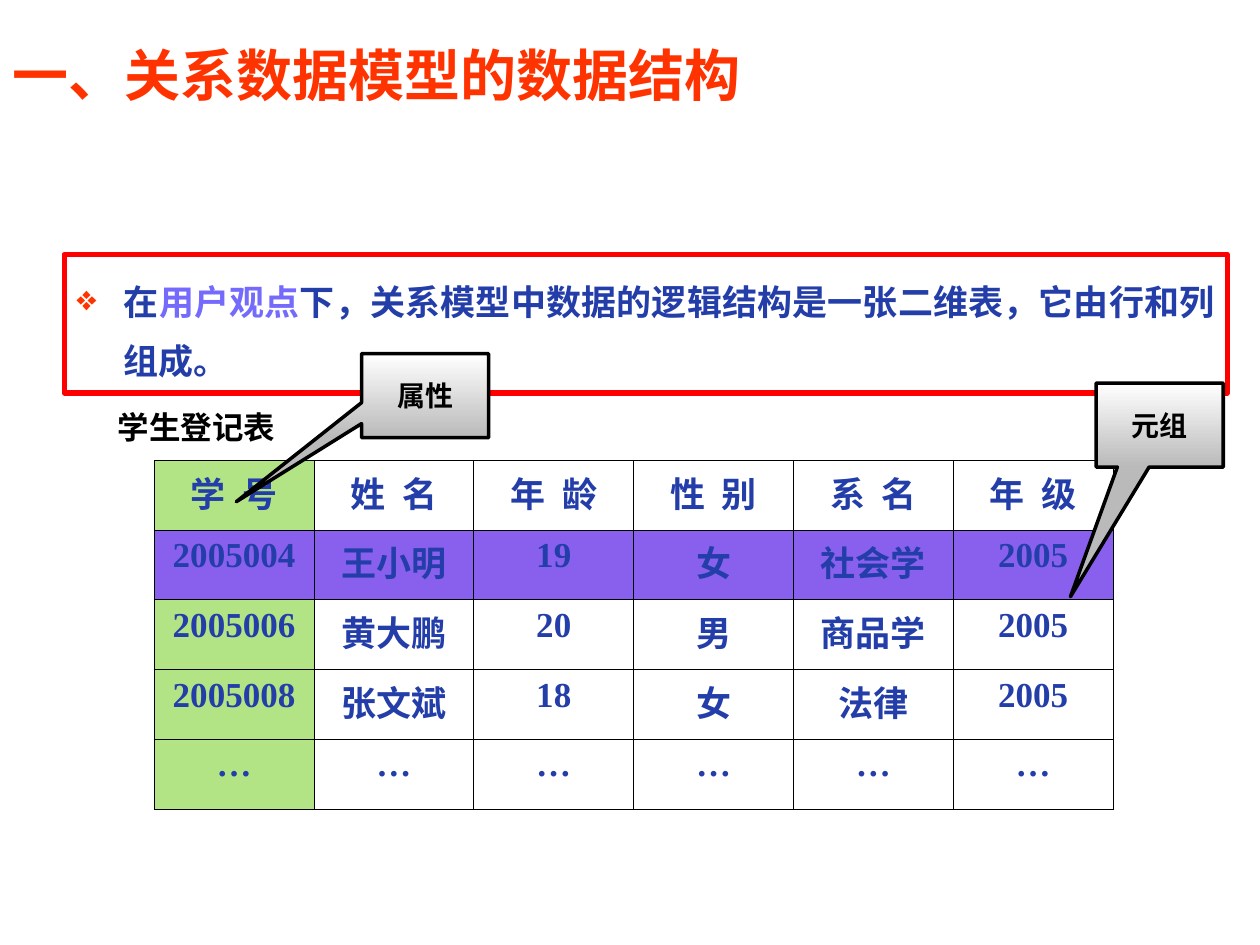
from dataclasses import dataclass

from lxml import etree
from pptx import Presentation
from pptx.dml.color import RGBColor
from pptx.enum.shapes import MSO_SHAPE
from pptx.enum.text import MSO_ANCHOR, PP_ALIGN
from pptx.oxml.ns import qn
from pptx.slide import Slide
from pptx.table import _Cell
from pptx.text.text import TextFrame, _Paragraph
from pptx.util import Pt

RECTANGLE = MSO_SHAPE.RECTANGLE
CALLOUT = MSO_SHAPE.RECTANGULAR_CALLOUT
TOP, MIDDLE = MSO_ANCHOR.TOP, MSO_ANCHOR.MIDDLE
LEFT, CENTER, JUSTIFY = PP_ALIGN.LEFT, PP_ALIGN.CENTER, PP_ALIGN.JUSTIFY


@dataclass(frozen=True)
class Theme:
    title: str = "FF3300"
    body: str = "233DA9"
    emphasis: str = "746AFC"
    black: str = "000000"
    frame: str = "FF0000"
    attribute: str = "B2E385"
    tuple_row: str = "8960EE"
    callout_top: str = "FFFFFF"
    callout_bottom: str = "BABABA"
    chinese: str = "Noto Sans CJK SC"
    sans: str = "Arial"
    serif: str = "Times New Roman"
    title_size: float = 32
    body_size: float = 20
    caption_size: float = 18
    callout_size: float = 16


THEME = Theme()


@dataclass(frozen=True)
class Box:
    left: float
    top: float
    width: float
    height: float

    def lengths(self) -> tuple[Pt, Pt, Pt, Pt]:
        return Pt(self.left), Pt(self.top), Pt(self.width), Pt(self.height)


@dataclass(frozen=True)
class Callout:
    text: str
    box: Box
    tip: tuple[float, float]


TITLE_BOX = Box(0, 20.2, 581.8, 44.6)
STATEMENT_BOX = Box(36.7, 145.4, 664.6, 79.2)
CAPTION_BOX = Box(33.1, 229.7, 158.4, 28.8)
TABLE_BOX = Box(88.1, 262.9, 548.1, 199.5)

STATEMENT = (
    ("在", THEME.body),
    ("用户观点", THEME.emphasis),
    ("下，关系模型中数据的逻辑结构是一张二维表，它由行和列组成。", THEME.body),
)
STUDENTS = (
    ("学 号", "姓 名", "年 龄", "性 别", "系 名", "年 级"),
    ("2005004", "王小明", "19", "女", "社会学", "2005"),
    ("2005006", "黄大鹏", "20", "男", "商品学", "2005"),
    ("2005008", "张文斌", "18", "女", "法律", "2005"),
    ("…",) * 6,
)
TUPLE_ROW = 1
HEADER_TRACKING = 2.5
CALLOUTS = (
    Callout("属性", Box(206.6, 202.1, 72.6, 48), (-1.486, 1.263)),
    Callout("元组", Box(626.4, 218.9, 72.6, 48), (-0.703, 2.044)),
)


def color(value: str) -> RGBColor:
    return RGBColor.from_string(value)


def write(paragraph: _Paragraph, text: str, *, size: float, ink: str,
          font: str = THEME.serif, align: PP_ALIGN = CENTER,
          tracking: float = 0) -> None:
    """Append a bold run; Chinese characters always use the theme's Chinese font."""
    paragraph.alignment = align
    run = paragraph.add_run()
    run.text = text
    run.font.size = Pt(size)
    run.font.bold = True
    run.font.color.rgb = color(ink)
    run.font.name = font
    properties = run.font._element
    if tracking:
        properties.set("spc", str(round(tracking * 100)))
    east_asian = etree.Element(qn("a:ea"), typeface=THEME.chinese)
    properties.find(qn("a:latin")).addnext(east_asian)


def set_frame(frame: TextFrame, anchor: MSO_ANCHOR, wrap: bool = True) -> _Paragraph:
    frame.word_wrap = wrap
    frame.vertical_anchor = anchor
    frame.margin_left = frame.margin_right = Pt(7.2)
    frame.margin_top = frame.margin_bottom = Pt(3.6)
    return frame.paragraphs[0]


def add_label(slide: Slide, box: Box, text: str, *, anchor: MSO_ANCHOR,
              wrap: bool, **text_format) -> None:
    shape = slide.shapes.add_textbox(*box.lengths())
    write(set_frame(shape.text_frame, anchor, wrap), text, **text_format)


def add_bullet(paragraph: _Paragraph, character: str, ink: str, indent: float) -> None:
    properties = paragraph._p.get_or_add_pPr()
    properties.set("marL", str(Pt(indent)))
    properties.set("indent", str(-Pt(indent)))
    bullet_color = etree.SubElement(properties, qn("a:buClr"))
    etree.SubElement(bullet_color, qn("a:srgbClr"), val=ink)
    etree.SubElement(properties, qn("a:buChar"), char=character)


def add_statement(slide: Slide) -> None:
    shape = slide.shapes.add_shape(RECTANGLE, *STATEMENT_BOX.lengths())
    shape.shadow.inherit = False
    shape.fill.background()
    shape.line.color.rgb = color(THEME.frame)
    shape.line.width = Pt(3)
    paragraph = set_frame(shape.text_frame, TOP)
    shape.text_frame.margin_top = Pt(5.5)
    add_bullet(paragraph, "❖", THEME.title, 27)
    paragraph.line_spacing = Pt(33.7)
    for text, ink in STATEMENT:
        write(paragraph, text, size=THEME.body_size, ink=ink,
              font=THEME.sans, align=JUSTIFY)


def set_borders(cell: _Cell, width: float) -> None:
    properties = cell._tc.get_or_add_tcPr()
    for position, side in enumerate(("a:lnL", "a:lnR", "a:lnT", "a:lnB")):
        line = etree.Element(qn(side), w=str(Pt(width)))
        fill = etree.SubElement(line, qn("a:solidFill"))
        etree.SubElement(fill, qn("a:srgbClr"), val=THEME.black)
        properties.insert(position, line)


def fill_cell(cell: _Cell, row: int, column: int) -> None:
    if row == TUPLE_ROW or column == 0:
        cell.fill.solid()
        cell.fill.fore_color.rgb = color(
            THEME.tuple_row if row == TUPLE_ROW else THEME.attribute)
    else:
        cell.fill.background()


def add_student_table(slide: Slide) -> None:
    row_count, column_count = len(STUDENTS), len(STUDENTS[0])
    table = slide.shapes.add_table(row_count, column_count, *TABLE_BOX.lengths()).table
    table.first_row = table.horz_banding = False
    for column in table.columns:
        column.width = Pt(TABLE_BOX.width / column_count)
    for row in table.rows:
        row.height = Pt(TABLE_BOX.height / row_count)
    for row_index, values in enumerate(STUDENTS):
        for column_index, value in enumerate(values):
            cell = table.cell(row_index, column_index)
            fill_cell(cell, row_index, column_index)
            set_borders(cell, 0.45)
            write(cell.text_frame.paragraphs[0], value, size=THEME.body_size,
                  ink=THEME.body, tracking=0 if row_index else HEADER_TRACKING)


def add_callout(slide: Slide, callout: Callout) -> None:
    shape = slide.shapes.add_shape(CALLOUT, *callout.box.lengths())
    shape.shadow.inherit = False
    shape.adjustments[0], shape.adjustments[1] = callout.tip
    shape.fill.gradient()
    shape.fill.gradient_angle = 270
    stop_colors = (THEME.callout_top, THEME.callout_bottom)
    for stop, value in zip(shape.fill.gradient_stops, stop_colors):
        stop.color.rgb = color(value)
    shape.line.color.rgb = color(THEME.black)
    shape.line.width = Pt(2)
    write(set_frame(shape.text_frame, MIDDLE), callout.text,
          size=THEME.callout_size, ink=THEME.black)


def main() -> None:
    presentation = Presentation()
    presentation.slide_width, presentation.slide_height = Pt(720), Pt(540)
    slide = presentation.slides.add_slide(presentation.slide_layouts[6])
    add_label(slide, TITLE_BOX, "一、关系数据模型的数据结构", anchor=MIDDLE, wrap=True,
              size=THEME.title_size, ink=THEME.title, font=THEME.chinese, align=LEFT)
    add_statement(slide)
    add_student_table(slide)
    add_label(slide, CAPTION_BOX, "学生登记表", anchor=TOP, wrap=False,
              size=THEME.caption_size, ink=THEME.black)
    for callout in CALLOUTS:
        add_callout(slide, callout)
    presentation.save("out.pptx")


if __name__ == "__main__":
    main()
